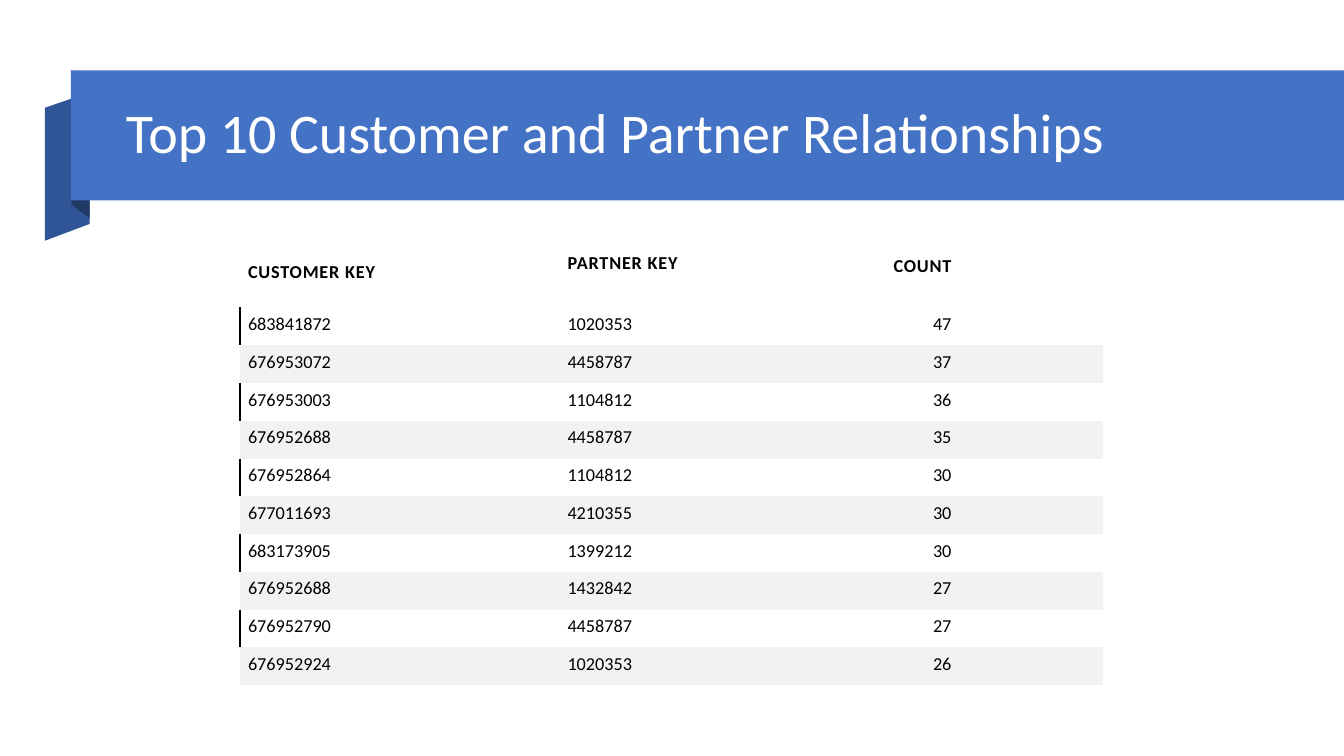
from dataclasses import dataclass

import lxml.etree
import pptx
import pptx.dml.color
import pptx.enum.shapes
import pptx.enum.text
import pptx.oxml.ns
import pptx.util

Pt = pptx.util.Pt
ALIGN = pptx.enum.text.PP_ALIGN
ANCHOR = pptx.enum.text.MSO_ANCHOR

COLORS = {
    "banner": "4472C4",
    "tail": "2F5597",
    "fold": "203864",
    "band": "F2F2F2",
    "text": "000000",
    "title": "FFFFFF",
}
FONT = "Calibri"
NO_STYLE = "{2D5ABB26-0587-4C30-8999-92F81FD0307C}"


@dataclass
class Ribbon:
    color: str
    points: list[tuple[float, float]]


@dataclass
class Column:
    header: str
    width: float
    align: ALIGN
    header_bottom: float


RIBBONS = [
    Ribbon("tail", [(64.1, 159.8), (32.4, 172.1), (32.4, 77), (64.1, 66.2)]),
    Ribbon("fold", [(64.1, 156.2), (51.1, 146.2), (51.1, 50.4), (64.1, 61.2)]),
]
COLUMNS = [
    Column("CUSTOMER KEY", 228.2, ALIGN.LEFT, 17.2),
    Column("PARTNER KEY", 184.3, ALIGN.LEFT, 23.7),
    Column("COUNT", 101.5, ALIGN.RIGHT, 21.5),
    Column("", 51.1, ALIGN.LEFT, 5.8),
    Column("", 51.1, ALIGN.LEFT, 5.8),
]
RELATIONSHIPS = [
    ("683841872", "1020353", "47"),
    ("676953072", "4458787", "37"),
    ("676953003", "1104812", "36"),
    ("676952688", "4458787", "35"),
    ("676952864", "1104812", "30"),
    ("677011693", "4210355", "30"),
    ("683173905", "1399212", "30"),
    ("676952688", "1432842", "27"),
    ("676952790", "4458787", "27"),
    ("676952924", "1020353", "26"),
]


def rgb(name: str) -> pptx.dml.color.RGBColor:
    return pptx.dml.color.RGBColor.from_string(COLORS[name])


def set_all(target, values: dict) -> None:
    for name, value in values.items():
        setattr(target, name, value)


def paint(sp, color: str) -> None:
    sp.shadow.inherit = False
    sp.fill.solid()
    sp.fill.fore_color.rgb = rgb(color)
    sp.line.fill.background()


def draw_ribbon(s, ribbon: Ribbon) -> None:
    start, *rest = ribbon.points
    builder = s.shapes.build_freeform(*start, scale=Pt(1))
    builder.add_line_segments(rest, close=True)
    paint(builder.convert_to_shape(), ribbon.color)


def write(p, text: str, size: float, color: str, bold: bool = False):
    r = p.add_run()
    r.text = text
    set_all(r.font, {"name": FONT, "size": Pt(size), "bold": bold})
    r.font.color.rgb = rgb(color)
    return r


def add_left_border(cell) -> None:
    qn = pptx.oxml.ns.qn
    ln = lxml.etree.Element(qn("a:lnL"), w=str(Pt(1)))
    fill = lxml.etree.SubElement(ln, qn("a:solidFill"))
    lxml.etree.SubElement(fill, qn("a:srgbClr"), val=COLORS["text"])
    cell._tc.get_or_add_tcPr().insert(0, ln)


def fill_cell(cell, text: str, column: Column, row: int) -> None:
    header = row == 0
    set_all(cell, {
        "margin_left": Pt(5.8),
        "margin_right": Pt(5.8),
        "margin_top": Pt(5.8 if header else 2.9),
        "margin_bottom": Pt(column.header_bottom if header else 5.8),
        "vertical_anchor": ANCHOR.BOTTOM if header else ANCHOR.MIDDLE,
    })
    if row and row % 2 == 0:
        cell.fill.solid()
        cell.fill.fore_color.rgb = rgb("band")
    else:
        cell.fill.background()
    p = cell.text_frame.paragraphs[0]
    p.alignment = column.align
    if text:
        r = write(p, text, 13, "text", header)
        if header:
            r._r.get_or_add_rPr().set("spc", "60")
    else:
        # Keeps blank cells from stretching their row
        p._p.get_or_add_endParaRPr().set("sz", "1300")


def draw_table(s) -> None:
    rows = [tuple(c.header for c in COLUMNS), *RELATIONSHIPS]
    width = sum(c.width for c in COLUMNS)
    frame = s.shapes.add_table(len(rows), len(COLUMNS), Pt(171.4), Pt(172.1),
                               Pt(width), Pt(317.5))
    table = frame.table
    set_all(table, {"first_row": False, "horz_banding": False})
    table._tbl.tblPr.find(pptx.oxml.ns.qn("a:tableStyleId")).text = NO_STYLE
    for i, column in enumerate(COLUMNS):
        table.columns[i].width = Pt(column.width)
    for i, row in enumerate(rows):
        table.rows[i].height = Pt(27 if i else 47.5)
        for j, column in enumerate(COLUMNS):
            text = row[j] if j < len(row) else ""
            fill_cell(table.cell(i, j), text, column, i)
        if i % 2:
            add_left_border(table.cell(i, 0))


def draw_title(s) -> None:
    sp = s.shapes.title
    set_all(sp, {"left": Pt(82.8), "top": Pt(61.9),
                 "width": Pt(811.4), "height": Pt(69.1)})
    tf = sp.text_frame
    set_all(tf, {"word_wrap": True, "vertical_anchor": ANCHOR.MIDDLE,
                 "auto_size": pptx.enum.text.MSO_AUTO_SIZE.NONE})
    p = tf.paragraphs[0]
    set_all(p, {"alignment": ALIGN.LEFT, "line_spacing": 0.9})
    write(p, "Top 10 Customer and Partner Relationships", 40, "title")


def main() -> None:
    prs = pptx.Presentation()
    set_all(prs, {"slide_width": Pt(960), "slide_height": Pt(540)})
    s = prs.slides.add_slide(prs.slide_layouts[5])

    # Folded ribbon and banner
    for ribbon in RIBBONS:
        draw_ribbon(s, ribbon)
    banner = s.shapes.add_shape(pptx.enum.shapes.MSO_SHAPE.RECTANGLE,
                                Pt(50.6), Pt(50.2), Pt(909.4), Pt(92.9))
    paint(banner, "banner")

    # Title goes in front of the banner
    draw_title(s)
    banner._element.addnext(s.shapes.title._element)

    # Relationship counts
    draw_table(s)
    prs.save("out.pptx")


if __name__ == "__main__":
    main()
